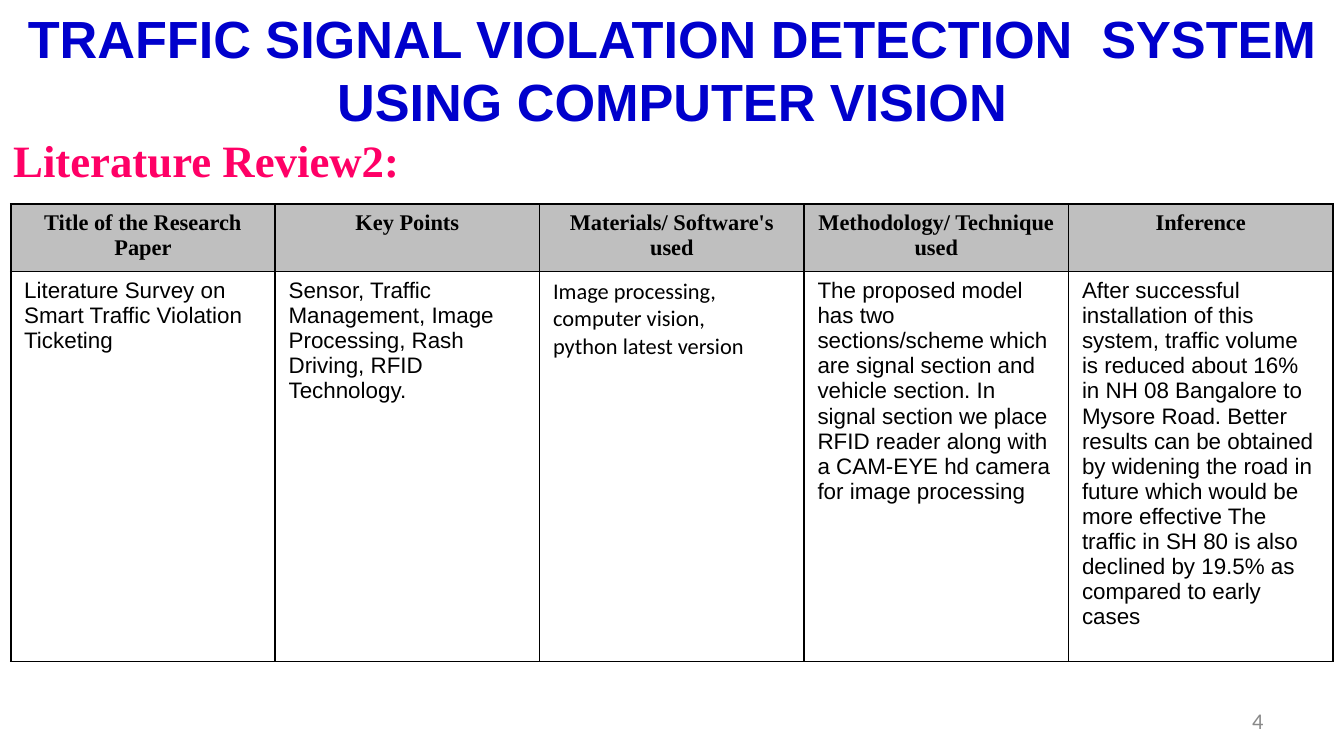
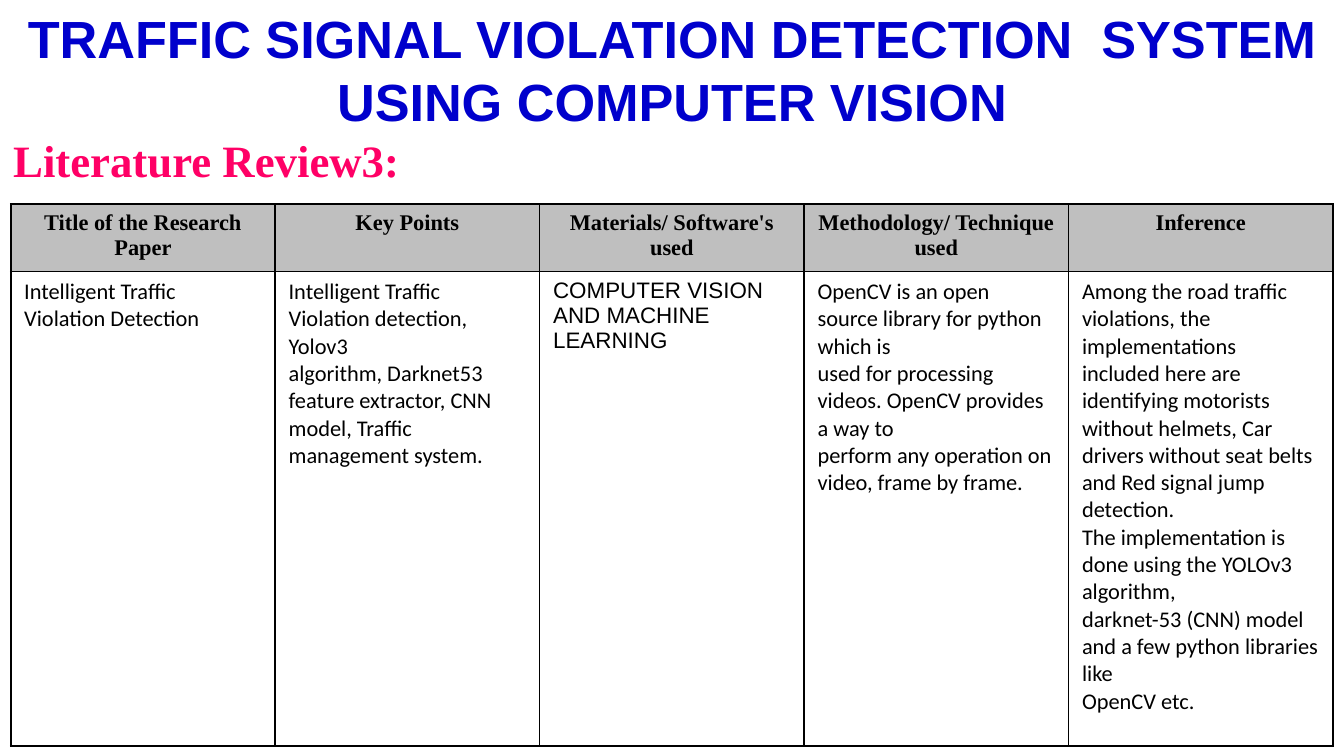
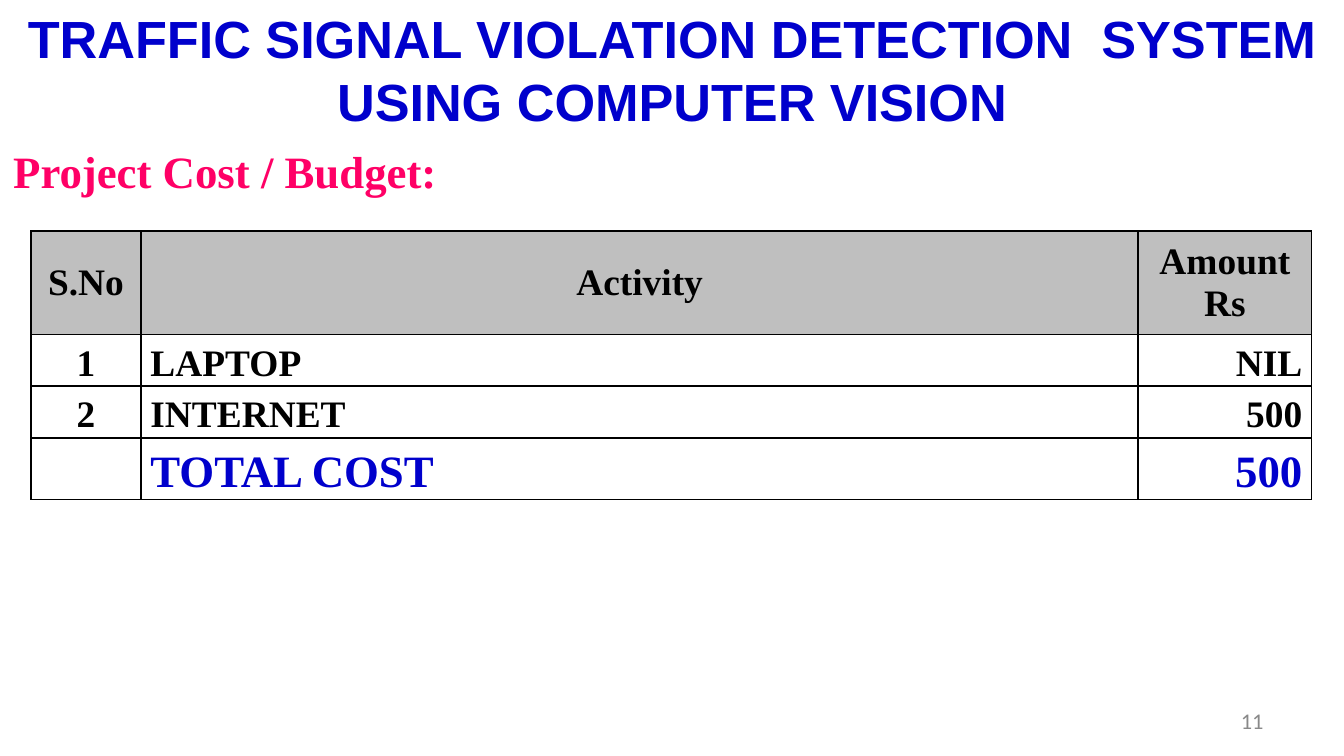
from pptx import Presentation
from pptx.dml.color import RGBColor
from pptx.enum import text
from pptx.oxml import parse_xml
from pptx.oxml.ns import nsdecls
from pptx.util import Inches, Pt

# Shared style
BLUE, PINK, GREY, WHITE, BLACK, NUMBER_GREY = (
    "0000CC", "FF0066", "BFBFBF", "FFFFFF", "000000", "898989")
SERIF, SANS, HUMANIST = "Times New Roman", "Arial", "Calibri"
LEFT, CENTER, RIGHT = text.PP_ALIGN.LEFT, text.PP_ALIGN.CENTER, text.PP_ALIGN.RIGHT
PROJECT = "TRAFFIC SIGNAL VIOLATION DETECTION  SYSTEM USING COMPUTER VISION"


def write(frame, words, font, size, color=BLACK, bold=False, align=LEFT, spacing=None):
    frame.text = words
    frame.word_wrap = True
    for paragraph in frame.paragraphs:
        paragraph.alignment = align
        paragraph.line_spacing = spacing
        for run in paragraph.runs:
            run.font.name, run.font.size, run.font.bold = font, Pt(size), bold
            run.font.color.rgb = RGBColor.from_string(color)


def add_grid(slide, left, top, widths, heights):
    """Add a table with thin black borders and a grey header row."""
    shape = slide.shapes.add_table(len(heights), len(widths), Inches(left), Inches(top),
                                   Inches(sum(widths)), Inches(sum(heights)))
    table = shape.table
    for column, width in zip(table.columns, widths):
        column.width = Inches(width)
    for index, (row, height) in enumerate(zip(table.rows, heights)):
        row.height = Inches(height)
        for cell in row.cells:
            properties = cell._tc.get_or_add_tcPr()
            for side in ("lnL", "lnR", "lnT", "lnB"):
                properties.append(parse_xml(
                    f'<a:{side} {nsdecls("a")} w="12700"><a:solidFill>'
                    f'<a:srgbClr val="{BLACK}"/></a:solidFill></a:{side}>'))
            cell.fill.solid()
            cell.fill.fore_color.rgb = RGBColor.from_string(WHITE if index else GREY)
    return table


# Widescreen slides, 16:9
presentation = Presentation()
presentation.slide_width = Inches(10)
presentation.slide_height = Inches(10) * 9 // 16

# Project title, section heading and page number of every slide
sections = [("Literature Review2:", 0.94, "4"),
            ("Literature Review3:", 0.94, None),
            ("Project Cost / Budget:", 1.02, "11")]
slides = []
for heading, heading_top, number in sections:
    slide = presentation.slides.add_slide(presentation.slide_layouts[5])
    slides.append(slide)
    title = slide.shapes.title
    title.left, title.top, title.width, title.height = 0, 0, Inches(10), Inches(0.94)
    title.text_frame.auto_size = text.MSO_AUTO_SIZE.NONE
    title.text_frame.vertical_anchor = text.MSO_ANCHOR.TOP
    write(title.text_frame, PROJECT, SANS, 28, BLUE, True, CENTER)

    box = slide.shapes.add_textbox(0, Inches(heading_top), Inches(10), Inches(0.53))
    write(box.text_frame, heading, SERIF, 24, PINK, True)

    if number:
        box = slide.shapes.add_textbox(Inches(7.17), Inches(5.21), Inches(2.33), Inches(0.3))
        box.text_frame.vertical_anchor = text.MSO_ANCHOR.MIDDLE
        write(box.text_frame, number, HUMANIST, 12, NUMBER_GREY, align=RIGHT)

# Literature reviews: one paper per table
review_headers = ["Title of the Research Paper", "Key Points", "Materials/ Software's used",
                  "Methodology/ Technique used", "Inference"]
ticketing_paper = [
    (SANS, "Literature Survey on Smart Traffic Violation Ticketing"),
    (SANS, "Sensor, Traffic Management, Image Processing, Rash Driving, RFID Technology."),
    (HUMANIST, "Image processing, computer vision,\npython latest version"),
    (SANS, "The proposed model has two sections/scheme which are signal section and vehicle "
           "section. In signal section we place RFID reader along with a CAM-EYE hd camera "
           "for image processing"),
    (SANS, "After successful installation of this system, traffic volume is reduced about 16% "
           "in NH 08 Bangalore to Mysore Road. Better results can be obtained by widening the "
           "road in future which would be more effective The traffic in SH 80 is also declined "
           "by 19.5% as compared to early cases"),
]
detection_paper = [
    (HUMANIST, "Intelligent Traffic Violation Detection"),
    (HUMANIST, "Intelligent Traffic Violation detection, Yolov3\n"
               "algorithm, Darknet53 feature extractor, CNN model, Traffic\n"
               "management system."),
    (SANS, "COMPUTER VISION\nAND MACHINE LEARNING"),
    (HUMANIST, "OpenCV is an open source library for python which is\n"
               "used for processing videos. OpenCV provides a way to\n"
               "perform any operation on video, frame by frame."),
    (HUMANIST, "Among the road traffic violations, the implementations\n"
               "included here are identifying motorists without helmets, Car\n"
               "drivers without seat belts and Red signal jump detection.\n"
               "The implementation is done using the YOLOv3 algorithm,\n"
               "darknet-53 (CNN) model and a few python libraries like\n"
               "OpenCV etc."),
]
# Each review: paper, body row height, space above the paper's title in points
reviews = [(ticketing_paper, 2.7, 13.4), (detection_paper, 3.53, 0)]
for slide, (paper, body_height, space_above) in zip(slides, reviews):
    table = add_grid(slide, 0.08, 1.52, [9.84 / 5] * 5, [0.46, body_height])
    for column, (header, (font, words)) in enumerate(zip(review_headers, paper)):
        write(table.cell(0, column).text_frame, header, SERIF, 12, bold=True, align=CENTER)
        write(table.cell(1, column).text_frame, words, font, 12)
    table.cell(1, 0).text_frame.paragraphs[0].space_before = Pt(space_above)

# Budget
budget = [("S.No", "Activity", "Amount Rs"),
          ("1", "LAPTOP", "NIL"),
          ("2", "INTERNET", "500"),
          ("", "TOTAL COST", "500")]
table = add_grid(slides[2], 0.23, 1.72, [0.82, 7.42, 1.29], [0.77, 0.38, 0.38, 0.46])
for row, values in enumerate(budget):
    is_header, is_total = row == 0, row == len(budget) - 1
    for column, value in enumerate(values):
        cell = table.cell(row, column)
        cell.vertical_anchor = text.MSO_ANCHOR.MIDDLE
        if not is_header:
            cell.margin_left = cell.margin_right = Inches(0.07)
            cell.margin_top = cell.margin_bottom = 0
        write(cell.text_frame, value, SERIF, 24 if is_total else 20,
              BLUE if is_total else BLACK, True,
              CENTER if is_header else (CENTER, LEFT, RIGHT)[column],
              None if is_header else 1.15)

presentation.save("out.pptx")
